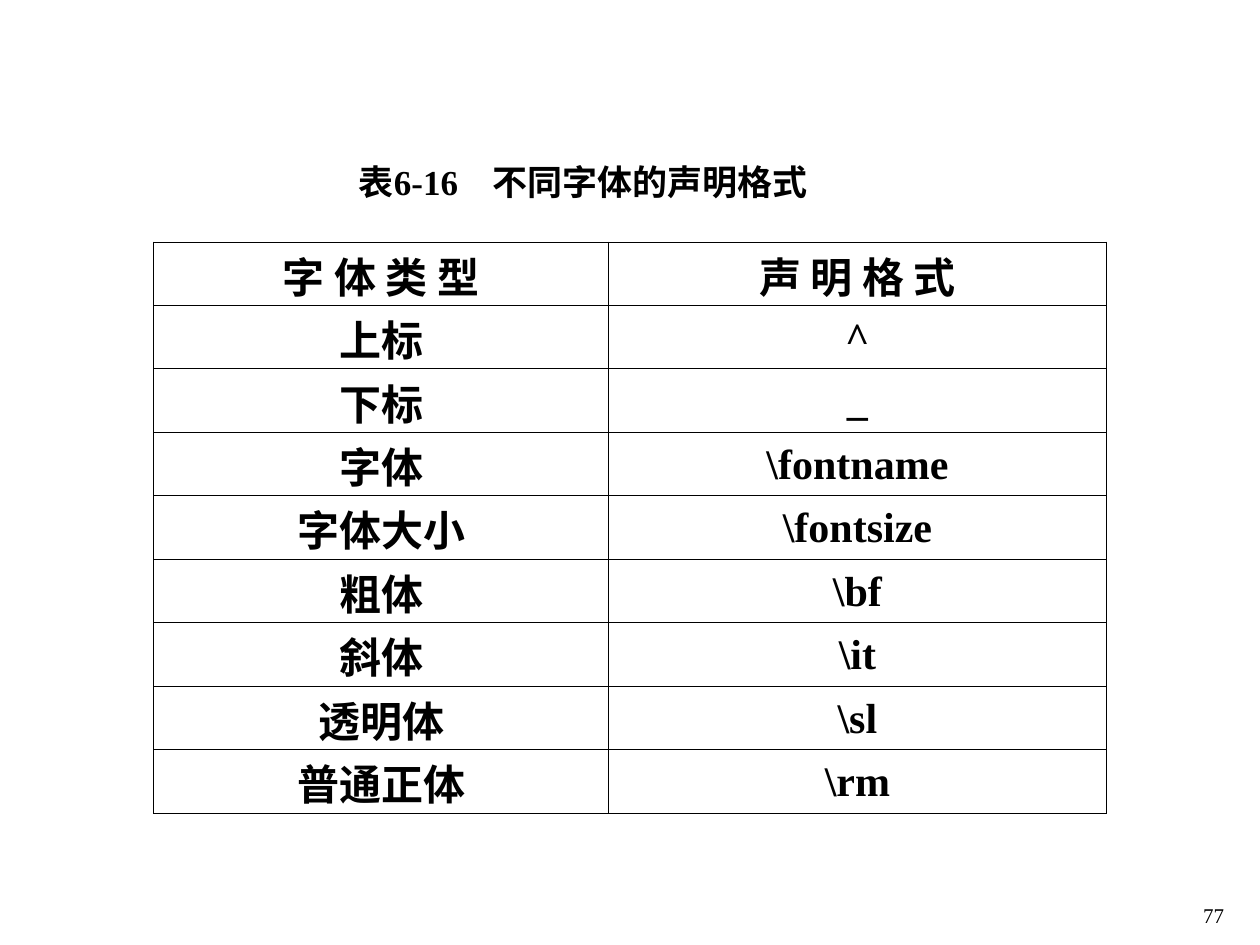
from dataclasses import dataclass

from lxml import etree
from pptx import Presentation
from pptx.dml.color import RGBColor
from pptx.enum.text import MSO_ANCHOR, PP_ALIGN
from pptx.oxml.ns import qn
from pptx.util import Inches, Pt

MIDDLE = MSO_ANCHOR.MIDDLE
TOP = MSO_ANCHOR.TOP
CENTER = PP_ALIGN.CENTER
BLANK_LAYOUT = 6


@dataclass(frozen=True)
class Theme:
    ink: str = "000000"
    latin: str = "Times New Roman"
    east_asian: str = "Noto Sans CJK SC"
    table_size: int = 24
    caption_size: int = 20
    number_size: int = 12
    border: float = 0.45


THEME = Theme()

FONT_FORMATS = [
    ("字 体 类 型", "声 明 格 式"),
    ("上标", "^"),
    ("下标", "_"),
    ("字体", "\\fontname"),
    ("字体大小", "\\fontsize"),
    ("粗体", "\\bf"),
    ("斜体", "\\it"),
    ("透明体", "\\sl"),
    ("普通正体", "\\rm"),
]


def style_text(para, size, bold):
    for span in para.runs:
        font = span.font
        font.size = Pt(size)
        font.bold = bold
        font.color.rgb = RGBColor.from_string(THEME.ink)
        font.name = THEME.latin
        east_asian = etree.SubElement(span._r.get_or_add_rPr(), qn("a:ea"))
        east_asian.set("typeface", THEME.east_asian)


def add_tab_stop(para, position):
    tab_list = etree.SubElement(para._p.get_or_add_pPr(), qn("a:tabLst"))
    etree.SubElement(tab_list, qn("a:tab"), pos=str(position), algn="l")


def draw_borders(cell):
    properties = cell._tc.get_or_add_tcPr()
    for side in ("lnL", "lnR", "lnT", "lnB"):
        line = etree.SubElement(properties, qn(f"a:{side}"), w=str(Pt(THEME.border)))
        fill = etree.SubElement(line, qn("a:solidFill"))
        etree.SubElement(fill, qn("a:srgbClr"), val=THEME.ink)


def add_text(page, box, text, size, bold, anchor, tab=None):
    frame = page.shapes.add_textbox(*map(Inches, box)).text_frame
    frame.word_wrap = True
    frame.margin_right = Inches(0)
    frame.vertical_anchor = anchor
    para = frame.paragraphs[0]
    para.text = text
    if tab is not None:
        add_tab_stop(para, Inches(tab))
    style_text(para, size, bold)


def add_format_table(page, box, column_widths, rows):
    frame = page.shapes.add_table(len(rows), len(column_widths), *map(Inches, box))
    table = frame.table
    table.first_row = False
    table.horz_banding = False
    for column, width in zip(table.columns, column_widths):
        column.width = Inches(width)
    for row, texts in zip(table.rows, rows):
        row.height = Inches(box[3] / len(rows))
        for cell, text in zip(row.cells, texts):
            cell.margin_top = Inches(0.02)
            cell.margin_bottom = Inches(0)
            cell.vertical_anchor = MIDDLE
            draw_borders(cell)
            cell.fill.background()
            para = cell.text_frame.paragraphs[0]
            para.text = text
            para.alignment = CENTER
            style_text(para, THEME.table_size, True)


def main():
    deck = Presentation()
    deck.slide_width = Inches(10)
    deck.slide_height = Inches(7.5)
    page = deck.slides.add_slide(deck.slide_layouts[BLANK_LAYOUT])
    add_format_table(page, (1.22, 1.92, 7.56, 4.5), (3.61, 3.95), FONT_FORMATS)
    add_text(page, (2.75, 1.22, 3.76, 0.44), "表6-16\t不同字体的声明格式",
             THEME.caption_size, True, MIDDLE, tab=1.06)
    add_text(page, (9.45, 7.11, 0.47, 0.31), "77", THEME.number_size, False, TOP)
    deck.save("out.pptx")


if __name__ == "__main__":
    main()
